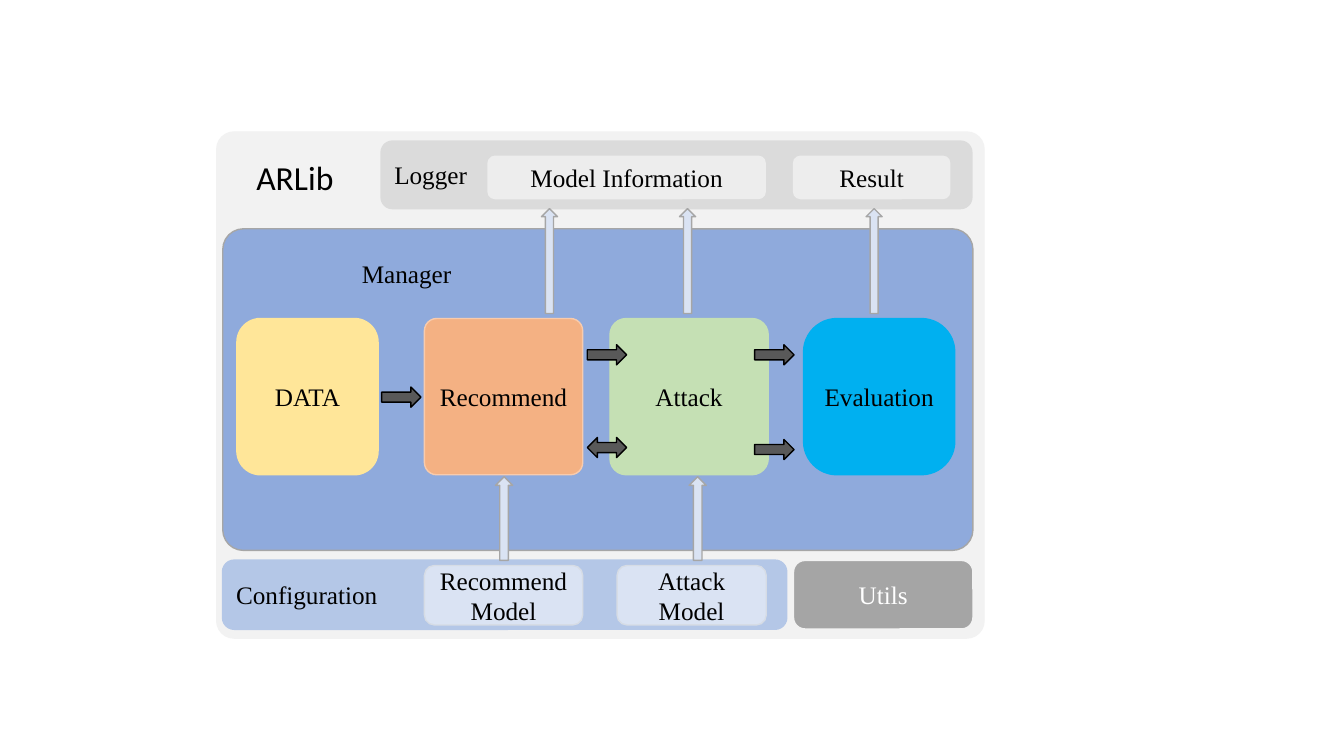
from pptx import Presentation
from pptx.dml.color import RGBColor
from pptx.enum.shapes import MSO_SHAPE as Kind
from pptx.enum.text import MSO_ANCHOR as Anchor, PP_ALIGN as Align
from pptx.util import Inches, Pt

SERIF = "Times New Roman"
MID, LEFT = Align.CENTER, Align.LEFT
ROUND = 0.167

ROWS = {
    "frame": (1.31, 5.02),
    "manager": (2.27, 3.19),
    "config": (5.56, 0.68),
    "model": (5.61, 0.59),
    "stage": (3.16, 1.55),
    "logger": (1.4, 0.67),
    "log": (1.55, 0.42),
}
BOXES = [
    ("frame", 2.15, 7.61, 0.034, "F2F2F2", "F2F2F2", "", MID),
    ("manager", 2.21, 7.44, 0.064, "8FAADC", "A6A6A6", "", MID),
    ("config", 2.21, 5.59, ROUND, "B4C7E7", "B4C7E7", "Configuration", LEFT),
    ("model", 6.12, 1.48, ROUND, "DAE3F3", "D6DCE5", "Attack\nModel", MID),
    ("model", 4.21, 1.57, ROUND, "DAE3F3", "D6DCE5", "Recommend Model", MID),
    ("stage", 2.35, 1.4, ROUND, "FFE699", "FFE699", "DATA", MID),
    ("stage", 4.21, 1.57, 0.078, "F4B183", "F8CBAD", "Recommend", MID),
    ("stage", 6.05, 1.57, 0.104, "C5E0B4", "C5E0B4", "Attack", MID),
    ("stage", 7.97, 1.5, 0.221, "00B0F0", "00B0F0", "Evaluation", MID),
    ("logger", 3.78, 5.86, ROUND, "DBDBDB", "DBDBDB", "Logger", LEFT),
    ("log", 4.84, 2.75, ROUND, "EDEDED", "EDEDED", "Model Information", MID),
    ("log", 7.87, 1.55, ROUND, "EDEDED", "EDEDED", "Result", MID),
    ("config", 7.87, 1.78, ROUND, "A5A5A5", "F2F2F2", "Utils", MID),
]
FLOWS = [
    (Kind.RIGHT_ARROW, 3.98, 3.94),
    (Kind.RIGHT_ARROW, 6.02, 3.52),
    (Kind.LEFT_RIGHT_ARROW, 6.02, 4.44),
    (Kind.RIGHT_ARROW, 7.68, 3.52),
    (Kind.RIGHT_ARROW, 7.68, 4.46),
]
LIFTS = [
    (2.07, 1.04, 0.16, [5.45, 6.82, 8.67]),
    (4.73, 0.83, 0.17, [5.0, 6.92]),
]


def tint(code):
    return RGBColor.from_string(code)


def write(shape, text, align, color="000000", size=18, font=SERIF, anchor=Anchor.MIDDLE):
    frame = shape.text_frame
    frame.word_wrap = True
    frame.vertical_anchor = anchor
    frame.text = text
    for par in frame.paragraphs:
        par.alignment = align
        par.font.size = Pt(size)
        par.font.name = font
        par.font.color.rgb = tint(color)


def draw(slide, kind, x, y, w, h, fill, line, width=1):
    shape = slide.shapes.add_shape(kind, *map(Inches, (x, y, w, h)))
    shape.shadow.inherit = False
    shape.fill.solid()
    shape.fill.fore_color.rgb = tint(fill)
    shape.line.color.rgb = tint(line)
    shape.line.width = Pt(width)
    return shape


def main():
    deck = Presentation()
    deck.slide_width, deck.slide_height = Inches(13.33), Inches(7.5)
    slide = deck.slides.add_slide(deck.slide_layouts[5])

    for row, x, w, bend, fill, line, text, align in BOXES:
        y, h = ROWS[row]
        width = 1.5 if text == "Configuration" else 1
        box = draw(slide, Kind.ROUNDED_RECTANGLE, x, y, w, h, fill, line, width)
        box.adjustments[0] = bend
        if text:
            write(box, text, align, "FFFFFF" if text == "Utils" else "000000")

    label = slide.shapes.add_textbox(*map(Inches, (3.49, 2.51, 1.54, 0.4)))
    write(label, "Manager", LEFT, anchor=Anchor.TOP)

    title = slide.shapes.title
    title.left, title.top, title.width, title.height = map(Inches, (2.15, 1.55, 1.55, 0.42))
    write(title, "ARLib", MID, size=24, font="Calibri")
    slide.shapes._spTree.append(title._element)

    w, h = 0.39, 0.2
    for kind, x, y in FLOWS:
        draw(slide, kind, x - w / 2, y - h / 2, w, h, "595959", "000000")
    for y, h, w, mids in LIFTS:
        for x in mids:
            draw(slide, Kind.UP_ARROW, x - w / 2, y, w, h, "DAE3F3", "A6A6A6")

    deck.save("out.pptx")


if __name__ == "__main__":
    main()
